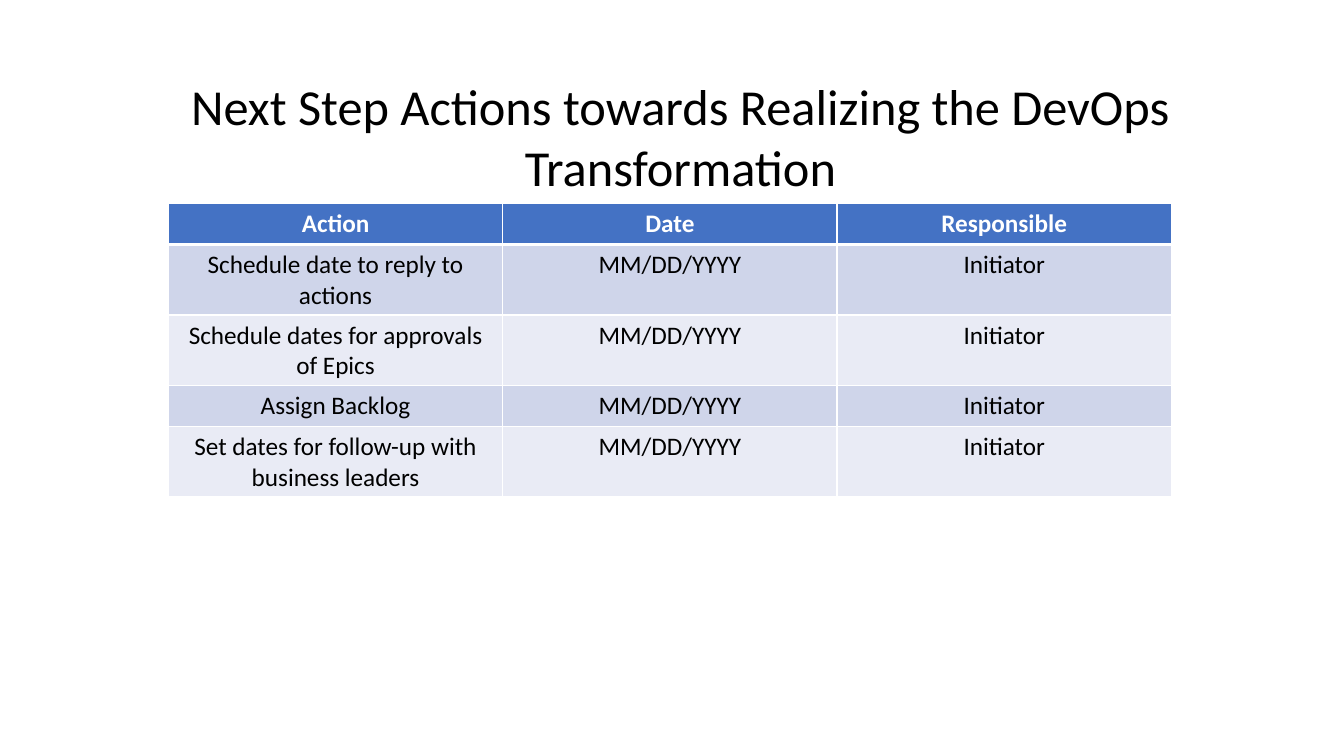
from dataclasses import dataclass

from lxml import etree
from pptx import Presentation
from pptx.dml.color import RGBColor
from pptx.enum.text import MSO_AUTO_SIZE, PP_ALIGN
from pptx.oxml.ns import qn
from pptx.util import Emu, Inches, Pt

CENTER = PP_ALIGN.CENTER
FIT_SHAPE = MSO_AUTO_SIZE.SHAPE_TO_FIT_TEXT
FONT = "Calibri"
BLACK = RGBColor(0x00, 0x00, 0x00)
WHITE = RGBColor(0xFF, 0xFF, 0xFF)
HEADER_BLUE = RGBColor(0x44, 0x72, 0xC4)
BANDS = (RGBColor(0xCF, 0xD5, 0xEA), RGBColor(0xE9, 0xEB, 0xF5))

WIDTH, HEIGHT = Inches(13.33), Inches(7.5)
THIN, THICK = Pt(1), Pt(3)


@dataclass(frozen=True)
class Box:
    """Position and size in percent of the slide."""
    left: float
    top: float
    width: float
    height: float

    def emu(self) -> tuple[Emu, Emu, Emu, Emu]:
        return (across(self.left), down(self.top),
                across(self.width), down(self.height))


@dataclass(frozen=True)
class Step:
    action: str
    height: float
    date: str = "MM/DD/YYYY"
    responsible: str = "Initiator"


ONE_LINE, TWO_LINES = 5.4, 9.33
TITLE_BOX = Box(10.5, 9.33, 80.27, 17.47)
TABLE_BOX = Box(12.53, 26.93, 74.64, 38.8)
TITLE = "Next Step Actions towards Realizing the DevOps Transformation"
STEPS = [
    Step("Action", ONE_LINE, "Date", "Responsible"),
    Step("Schedule date to reply to actions", TWO_LINES),
    Step("Schedule dates for approvals of Epics", TWO_LINES),
    Step("Assign Backlog", ONE_LINE),
    Step("Set dates for follow-up with business leaders", TWO_LINES),
]


def across(percent: float) -> Emu:
    return Emu(round(WIDTH * percent / 100))


def down(percent: float) -> Emu:
    return Emu(round(HEIGHT * percent / 100))


def write(tf, text: str, size: int, color: RGBColor, bold: bool = False) -> None:
    tf.text = text
    p = tf.paragraphs[0]
    p.alignment = CENTER
    font = p.runs[0].font
    font.name, font.size, font.bold = FONT, Pt(size), bold
    font.color.rgb = color


def add_borders(cell, top: Emu, bottom: Emu) -> None:
    tc_pr = cell._tc.get_or_add_tcPr()
    edges = {"lnL": THIN, "lnR": THIN, "lnT": top, "lnB": bottom}
    for tag, width in edges.items():
        ln = etree.SubElement(tc_pr, qn(f"a:{tag}"), w=str(width))
        fill = etree.SubElement(ln, qn("a:solidFill"))
        etree.SubElement(fill, qn("a:srgbClr"), val=str(WHITE))


def add_title(slide) -> None:
    tf = slide.shapes.add_textbox(*TITLE_BOX.emu()).text_frame
    tf.word_wrap = True
    tf.auto_size = FIT_SHAPE
    write(tf, TITLE, 36, BLACK)


def add_steps(slide, steps: list[Step]) -> None:
    table = slide.shapes.add_table(len(steps), 3, *TABLE_BOX.emu()).table
    for i, step in enumerate(steps):
        header = i == 0
        table.rows[i].height = down(step.height)
        texts = (step.action, step.date, step.responsible)
        for cell, text in zip(table.rows[i].cells, texts):
            # Borders precede the fill in the cell properties
            add_borders(cell, THICK if i == 1 else THIN,
                        THICK if header else THIN)
            cell.fill.solid()
            cell.fill.fore_color.rgb = HEADER_BLUE if header else BANDS[(i - 1) % 2]
            write(cell.text_frame, text, 18, WHITE if header else BLACK, header)


def main() -> None:
    prs = Presentation()
    prs.slide_width, prs.slide_height = WIDTH, HEIGHT
    slide = prs.slides.add_slide(prs.slide_layouts[6])

    # Heading
    add_title(slide)

    # Action table
    add_steps(slide, STEPS)

    prs.save("out.pptx")


if __name__ == "__main__":
    main()
